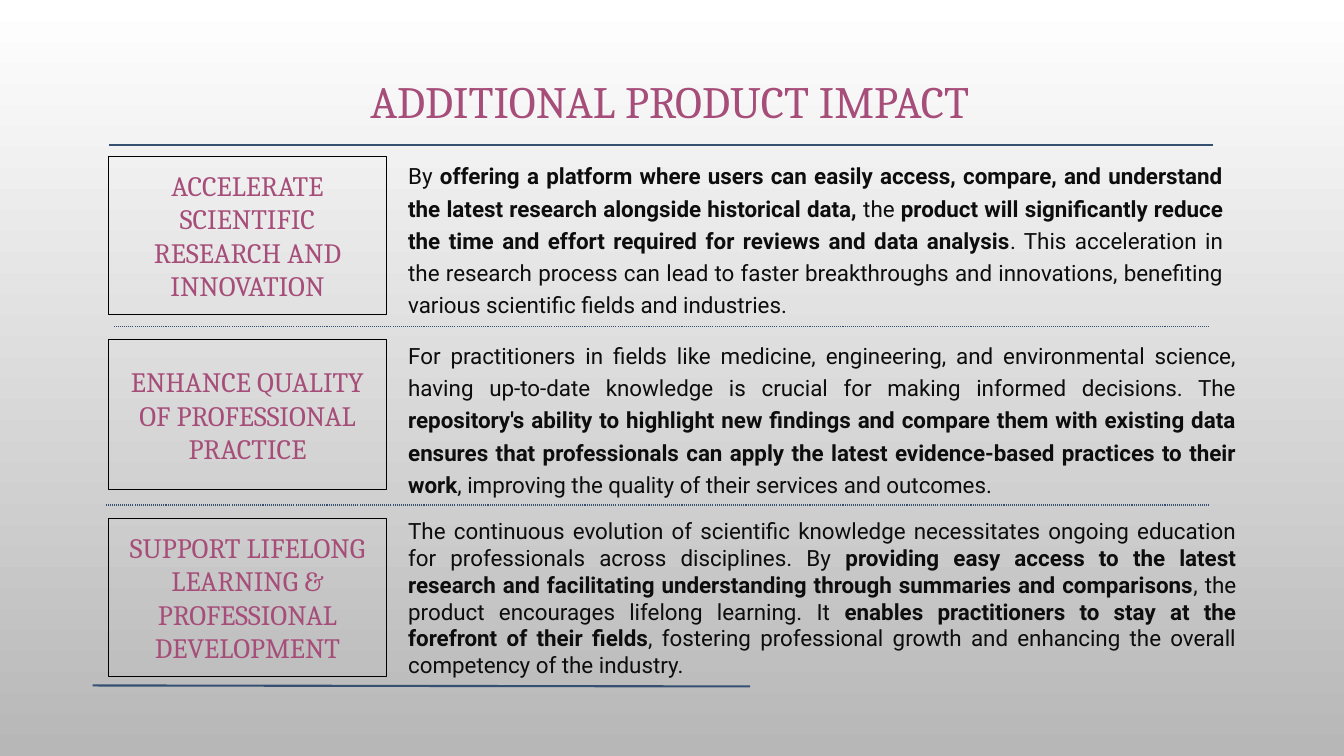
from dataclasses import dataclass

from lxml.etree import SubElement
from pptx import Presentation
from pptx.dml.color import RGBColor
from pptx.enum.dml import MSO_LINE_DASH_STYLE as Dash
from pptx.enum.shapes import MSO_CONNECTOR, MSO_SHAPE
from pptx.enum.text import MSO_ANCHOR as Anchor, PP_ALIGN as Align
from pptx.oxml.ns import qn
from pptx.slide import Slide
from pptx.text.text import TextFrame
from pptx.util import Inches, Pt

PINK, BLUE, INK, BLACK = "A64D79", "355071", "0D0D0D", "000000"
HEADING_FONT, BODY_FONT = "Cambria", "Roboto"
BOX_LEFT, BOX_WIDTH, BODY_LEFT = 1.08, 2.75, 3.95


@dataclass
class Run:
    text: str
    bold: bool = False


@dataclass
class Impact:
    heading: str
    box_top: float
    box_height: float
    body_top: float
    body_width: float
    body_height: float
    line_spacing: float
    runs: list[Run]


@dataclass
class Rule:
    x1: float
    y1: float
    x2: float
    y2: float
    width: float = 1.5
    dotted: bool = False


IMPACTS = [
    Impact("ACCELERATE SCIENTIFIC RESEARCH AND INNOVATION", 1.55, 1.57, 1.46, 8.28, 1.69, 1.2, [
        Run("By "),
        Run("offering a platform where users can easily access, compare, and understand "
            "the latest research alongside historical data,", True),
        Run(" the "),
        Run("product will significantly reduce the time and effort required for reviews "
            "and data analysis", True),
        Run(". This acceleration in the research process can lead to faster breakthroughs "
            "and innovations, benefiting various scientific fields and industries."),
    ]),
    Impact("ENHANCE QUALITY OF PROFESSIONAL PRACTICE", 3.37, 1.49, 3.24, 8.41, 1.69, 1.2, [
        Run("For practitioners in fields like medicine, engineering, and environmental "
            "science, having up-to-date knowledge is crucial for making informed decisions. The"),
        Run(" repository's ability to highlight new findings and compare them with existing "
            "data ensures that professionals can apply the latest evidence-based practices "
            "to their work", True),
        Run(", improving the quality of their services and outcomes."),
    ]),
    Impact("SUPPORT LIFELONG LEARNING & PROFESSIONAL DEVELOPMENT", 5.14, 1.57, 5.03, 8.41, 1.77, 1.0, [
        Run("The continuous evolution of scientific knowledge necessitates ongoing education "
            "for professionals across disciplines. By "),
        Run("providing easy access to the latest research and facilitating understanding "
            "through summaries and comparisons", True),
        Run(", the product encourages lifelong learning. It "),
        Run("enables practitioners to stay at the forefront of their fields", True),
        Run(", fostering professional growth and enhancing the overall competency of the "
            "industry."),
    ]),
]

RULES = [
    Rule(12.03, 1.44, 1.08, 1.44),
    Rule(11.99, 3.24, 1.12, 3.24, 0.75, True),
    Rule(11.99, 5.01, 1.05, 5.01, 0.75, True),
    Rule(7.44, 6.81, 0.92, 6.8),
]


def color(value: str) -> RGBColor:
    return RGBColor.from_string(value)


def write(frame: TextFrame, runs: list[Run], size: float, font: str, ink: str,
          align: Align, spacing: float = 1.0, anchor: Anchor = Anchor.TOP) -> None:
    frame.word_wrap = True
    frame.vertical_anchor = anchor
    frame.margin_left = frame.margin_right = Inches(0.1)
    frame.margin_top = frame.margin_bottom = Inches(0.1)
    paragraph = frame.paragraphs[0]
    paragraph.alignment = align
    paragraph.line_spacing = spacing
    for item in runs:
        run = paragraph.add_run()
        run.text = item.text
        run.font.size = Pt(size)
        run.font.name = font
        run.font.bold = item.bold
        run.font.color.rgb = color(ink)


def add_text(slide: Slide, left: float, top: float, width: float, height: float) -> TextFrame:
    return slide.shapes.add_textbox(
        Inches(left), Inches(top), Inches(width), Inches(height)).text_frame


def add_impact(slide: Slide, impact: Impact) -> None:
    # Outlined heading box
    box = slide.shapes.add_shape(MSO_SHAPE.RECTANGLE, Inches(BOX_LEFT), Inches(impact.box_top),
                                 Inches(BOX_WIDTH), Inches(impact.box_height))
    box.shadow.inherit = False
    box.fill.background()
    box.line.color.rgb = color(BLACK)
    box.line.width = Pt(0.75)
    write(box.text_frame, [Run(impact.heading)], 20, HEADING_FONT, PINK, Align.CENTER,
          anchor=Anchor.MIDDLE)
    # Explanation beside it
    body = add_text(slide, BODY_LEFT, impact.body_top, impact.body_width, impact.body_height)
    write(body, impact.runs, 16, BODY_FONT, INK, Align.JUSTIFY, impact.line_spacing)


def add_rule(slide: Slide, rule: Rule) -> None:
    line = slide.shapes.add_connector(MSO_CONNECTOR.STRAIGHT, Inches(rule.x1), Inches(rule.y1),
                                      Inches(rule.x2), Inches(rule.y2))
    line.line.color.rgb = color(BLUE)
    line.line.width = Pt(rule.width)
    if rule.dotted:
        line.line.dash_style = Dash.ROUND_DOT
    SubElement(line._element.spPr, qn("a:effectLst"))


def main() -> None:
    presentation = Presentation()
    presentation.slide_width = Inches(13.33)
    presentation.slide_height = Inches(7.5)
    slide = presentation.slides.add_slide(presentation.slide_layouts[6])

    # Background fading downwards
    fill = slide.background.fill
    fill.gradient()
    fill.gradient_angle = 270
    for stop, shade in zip(fill.gradient_stops, ("FFFFFF", "B7B7B7")):
        stop.color.rgb = color(shade)

    # Title
    title = add_text(slide, 1.17, 0.69, 10.95, 0.69)
    write(title, [Run("ADDITIONAL PRODUCT IMPACT")], 32, HEADING_FONT, PINK, Align.CENTER, 0.9)

    # Impacts and the rules between them
    for impact in IMPACTS:
        add_impact(slide, impact)
    for rule in RULES:
        add_rule(slide, rule)

    presentation.save("out.pptx")


if __name__ == "__main__":
    main()
